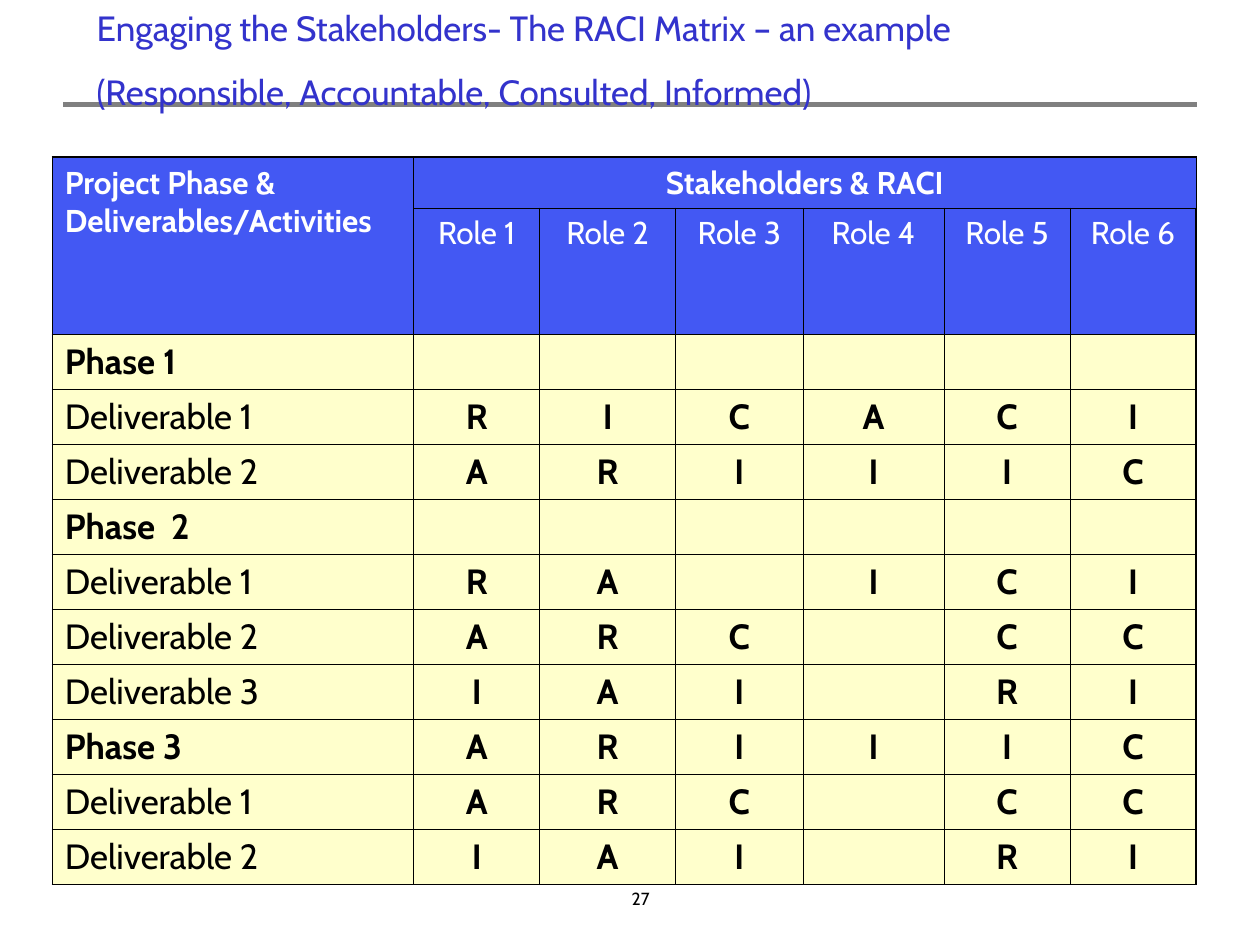
from lxml.etree import SubElement
from pptx import Presentation
from pptx.dml.color import RGBColor
from pptx.enum.shapes import MSO_CONNECTOR
from pptx.enum.text import PP_ALIGN as Align
from pptx.oxml.ns import qn
from pptx.util import Cm, Pt

TITLE = ["Engaging the Stakeholders- The RACI Matrix – an example",
         "(Responsible, Accountable, Consulted, Informed)"]
PAGE = "27"
ACTIVITIES = "Project Phase & Deliverables/Activities"
STAKEHOLDERS = "Stakeholders & RACI"
ROLES = ["Role 1", "Role 2", "Role 3", "Role 4", "Role 5", "Role 6"]
ASSIGNMENTS = [
    ("Phase 1", ["", "", "", "", "", ""]),
    ("Deliverable 1", ["R", "I", "C", "A", "C", "I"]),
    ("Deliverable 2", ["A", "R", "I", "I", "I", "C"]),
    ("Phase  2", ["", "", "", "", "", ""]),
    ("Deliverable 1", ["R", "A", "", "I", "C", "I"]),
    ("Deliverable 2", ["A", "R", "C", "", "C", "C"]),
    ("Deliverable 3", ["I", "A", "I", "", "R", "I"]),
    ("Phase 3", ["A", "R", "I", "I", "I", "C"]),
    ("Deliverable 1", ["A", "R", "C", "", "C", "C"]),
    ("Deliverable 2", ["I", "A", "I", "", "R", "I"]),
]
WIDTHS = [7.28, 2.54, 2.74, 2.57, 2.84, 2.54, 2.54]
HEIGHTS = [1.02, 2.54] + [1.11] * len(ASSIGNMENTS)
HEADER_FILL, BODY_FILL = "4358F3", "FFFFCC"
INNER, OUTER = 0.45, 1.08

TITLE_FONT = {"name": "Cabin", "size": Pt(20), "bold": False}
HEADER_FONT = {"name": "Cabin", "size": Pt(18)}
BODY_FONT = {"name": "Cabin", "size": Pt(20)}
PAGE_FONT = {"name": "Cabin", "size": Pt(10)}
INSETS = {"margin_left": Cm(0.25), "margin_right": Cm(0.25),
          "margin_top": Cm(0.13), "margin_bottom": Cm(0.13)}


def apply(target, values):
    for key, value in values.items():
        setattr(target, key, value)


def color(hex_value):
    return RGBColor.from_string(hex_value)


def write(paragraph, text, font, hex_value, align=Align.LEFT, **extra):
    paragraph.alignment = align
    run = paragraph.add_run()
    run.text = text
    apply(run.font, {**font, **extra})
    run.font.color.rgb = color(hex_value)


def add_text(slide, box, lines, font, hex_value, align=Align.LEFT):
    frame = slide.shapes.add_textbox(*map(Cm, box)).text_frame
    apply(frame, {**INSETS, "word_wrap": True})
    for index, line in enumerate(lines):
        paragraph = frame.add_paragraph() if index else frame.paragraphs[0]
        if index:
            paragraph.space_before = Pt(12.5)
        write(paragraph, line, font, hex_value, align)


def add_borders(cell, edges):
    properties = cell._tc.get_or_add_tcPr()
    for side, outer in edges.items():
        width = Pt(OUTER if outer else INNER)
        border = SubElement(properties, qn(f"a:ln{side}"), w=str(width))
        fill = SubElement(border, qn("a:solidFill"))
        SubElement(fill, qn("a:srgbClr"), val="000000")


def add_rule(slide):
    rule = slide.shapes.add_connector(
        MSO_CONNECTOR.STRAIGHT, Cm(1.27), Cm(2.11), Cm(24.13), Cm(2.11))
    rule.line.width = Pt(3)
    rule.line.color.rgb = color("808080")
    SubElement(rule._element.spPr, qn("a:effectLst"))


def add_matrix(slide):
    matrix = slide.shapes.add_table(
        len(HEIGHTS), len(WIDTHS), Cm(1.06), Cm(3.17),
        Cm(sum(WIDTHS)), Cm(sum(HEIGHTS))).table
    for column, width in zip(matrix.columns, WIDTHS):
        column.width = Cm(width)
    for row, height in zip(matrix.rows, HEIGHTS):
        row.height = Cm(height)

    headers = [[ACTIVITIES, STAKEHOLDERS] + [""] * 5, [""] + ROLES]
    entries = headers + [[label] + codes for label, codes in ASSIGNMENTS]
    last_row, last_column = len(HEIGHTS) - 1, len(WIDTHS) - 1
    for r, row in enumerate(entries):
        is_header = r < len(headers)
        for c, text in enumerate(row):
            cell = matrix.cell(r, c)
            apply(cell, INSETS)
            add_borders(cell, {"L": c == 0, "R": c == last_column,
                               "T": r == 0, "B": r == last_row})
            cell.fill.solid()
            cell.fill.fore_color.rgb = color(HEADER_FILL if is_header else BODY_FILL)
            if not text:
                continue
            bold = r == 0 if is_header else c > 0 or text.startswith("Phase")
            write(cell.text_frame.paragraphs[0], text,
                  HEADER_FONT if is_header else BODY_FONT,
                  "FFFFFF" if is_header else "000000",
                  Align.CENTER if c else Align.LEFT, bold=bold)
    matrix.cell(0, 0).merge(matrix.cell(1, 0))
    matrix.cell(0, 1).merge(matrix.cell(0, last_column))


def main():
    deck = Presentation()
    apply(deck, {"slide_width": Cm(25.4), "slide_height": Cm(19.05)})
    slide = deck.slides.add_slide(deck.slide_layouts[6])
    add_rule(slide)
    add_text(slide, (11.43, 17.78, 2.97, 0.84), [PAGE], PAGE_FONT, "000000", Align.CENTER)
    add_matrix(slide)
    add_text(slide, (1.7, 0, 20.75, 2.39), TITLE, TITLE_FONT, "3333CC")
    deck.save("out.pptx")


if __name__ == "__main__":
    main()
